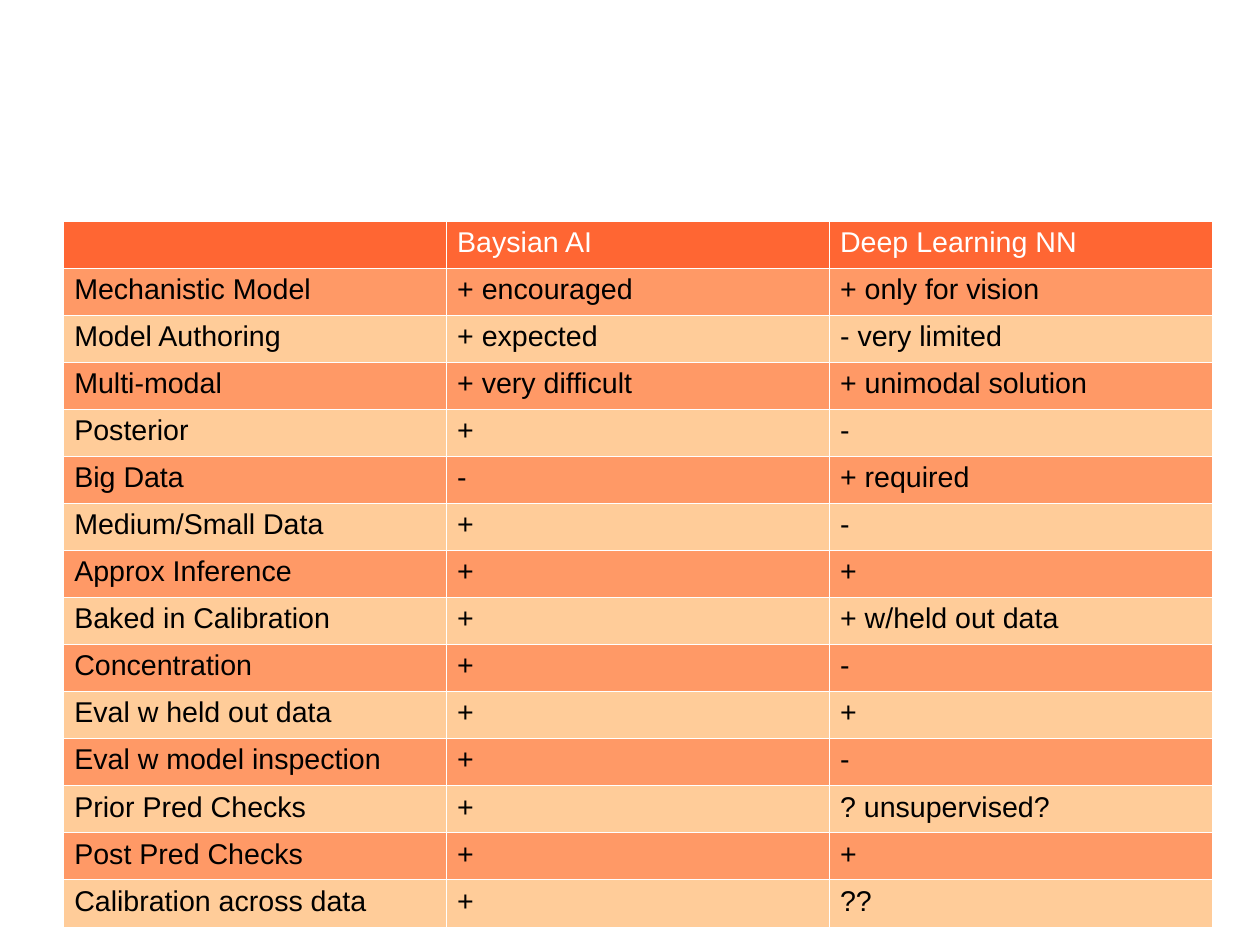
import lxml.etree
import pptx
import pptx.dml.color
import pptx.oxml.ns
import pptx.util

WIDTH, HEIGHT = pptx.util.Cm(28), pptx.util.Cm(21)
LEFT, TOP = 0.55, 1.93
TABLE_WIDTH, TABLE_HEIGHT = 10.05, 6.18
COLORS = {
    "header": "FF6633",
    "odd": "FF9966",
    "even": "FFCC99",
    "border": "FFFFFF",
    "header_text": "FFFFFF",
    "body_text": "000000",
}
COMPARISON = [
    ("", "Baysian AI", "Deep Learning NN"),
    ("Mechanistic Model", "+ encouraged", "+ only for vision"),
    ("Model Authoring", "+ expected", "- very limited"),
    ("Multi-modal", "+ very difficult", "+ unimodal solution"),
    ("Posterior", "+", "-"),
    ("Big Data", "-", "+ required"),
    ("Medium/Small Data", "+", "-"),
    ("Approx Inference", "+", "+"),
    ("Baked in Calibration", "+", "+ w/held out data"),
    ("Concentration", "+", "-"),
    ("Eval w held out data", "+", "+"),
    ("Eval w model inspection", "+", "-"),
    ("Prior Pred Checks", "+", "? unsupervised?"),
    ("Post Pred Checks", "+", "+"),
    ("Calibration across data", "+", "??"),
]


def rgb(name):
    return pptx.dml.color.RGBColor.from_string(COLORS[name])


def add_text(tf, text, size=18, font="Arial", color="body_text"):
    p = tf.paragraphs[0]
    r = p.add_run()
    r.text = text
    r.font.size = pptx.util.Pt(size)
    r.font.name = font
    r.font.color.rgb = rgb(color)


def add_borders(cell, color="border", width=0.06):
    qn = pptx.oxml.ns.qn
    tcPr = cell._tc.get_or_add_tcPr()
    for side in ("a:lnL", "a:lnR", "a:lnT", "a:lnB"):
        ln = lxml.etree.SubElement(tcPr, qn(side), w=str(pptx.util.Pt(width)))
        fill = lxml.etree.SubElement(ln, qn("a:solidFill"))
        lxml.etree.SubElement(fill, qn("a:srgbClr"), val=COLORS[color])


def format_cell(cell, text, fill, color):
    cell.margin_left = cell.margin_right = pptx.util.Inches(0.1)
    cell.margin_top = cell.margin_bottom = pptx.util.Inches(0.05)
    add_borders(cell)
    cell.fill.solid()
    cell.fill.fore_color.rgb = rgb(fill)
    if text:
        add_text(cell.text_frame, text, color=color)


def add_comparison_table(s, rows):
    box = [pptx.util.Inches(v) for v in (LEFT, TOP, TABLE_WIDTH, TABLE_HEIGHT)]
    table = s.shapes.add_table(len(rows), len(rows[0]), *box).table
    for i, row in enumerate(rows):
        fill = "header" if i == 0 else "odd" if i % 2 else "even"
        color = "header_text" if i == 0 else "body_text"
        for j, text in enumerate(row):
            format_cell(table.cell(i, j), text, fill, color)


def main():
    prs = pptx.Presentation()
    prs.slide_width = WIDTH
    prs.slide_height = HEIGHT
    s = prs.slides.add_slide(prs.slide_layouts[6])
    add_comparison_table(s, COMPARISON)
    prs.save("out.pptx")


if __name__ == "__main__":
    main()
